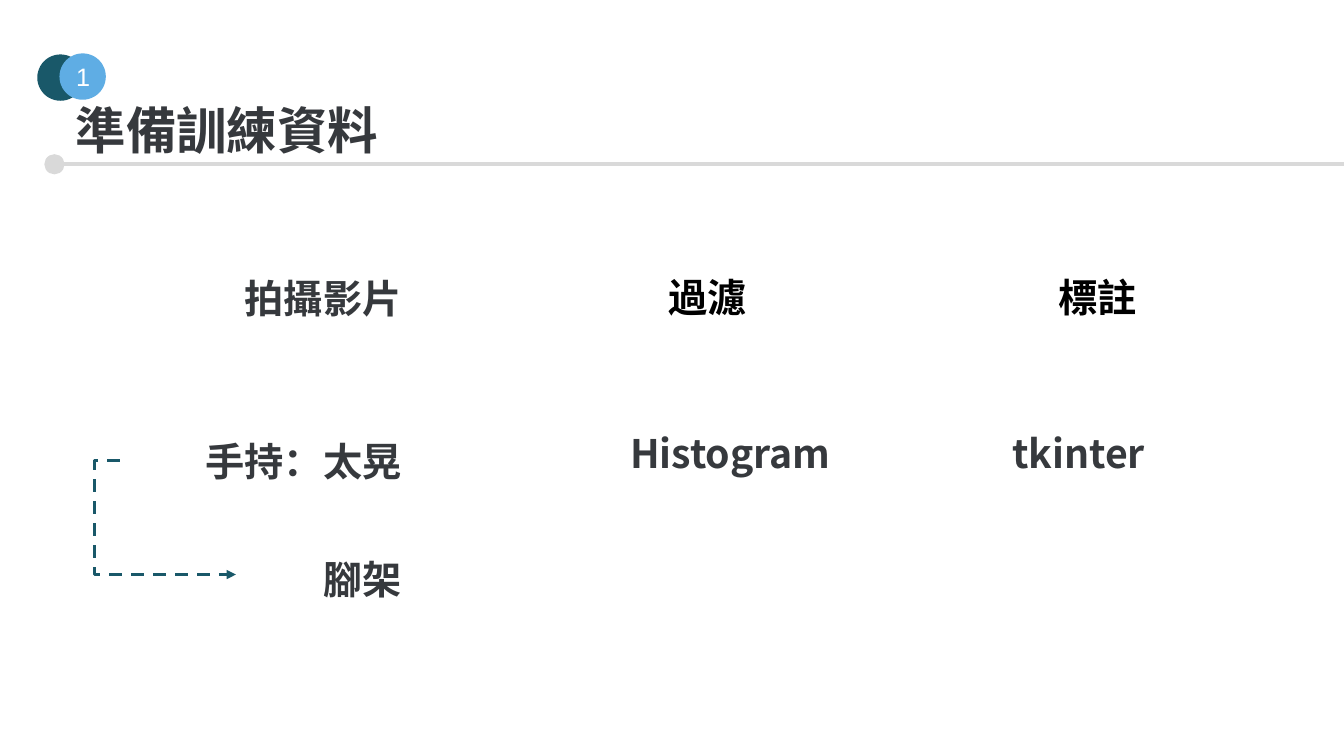
from lxml.etree import SubElement
from pptx import Presentation
from pptx.dml.color import RGBColor
from pptx.enum.dml import MSO_LINE
from pptx.enum.shapes import MSO_CONNECTOR, MSO_SHAPE
from pptx.enum.text import MSO_ANCHOR, MSO_AUTO_SIZE, PP_ALIGN
from pptx.oxml.ns import qn
from pptx.util import Inches, Pt

CJK_FONT = "Noto Sans CJK SC"
DARK, BLACK, TEAL, BLUE, GREY = "36393D", "000000", "195869", "5FADE4", "D9D9D9"


def write(box, text, size, color, name=CJK_FONT, bold=True, align=PP_ALIGN.LEFT):
    """Fill a shape with one formatted paragraph, for Latin and Chinese text alike."""
    para = box.text_frame.paragraphs[0]
    para.text = text
    para.alignment = align
    font = para.font
    font.size, font.bold, font.name = Pt(size), bold, name
    font.color.rgb = RGBColor.from_string(color)
    defaults = para._p.pPr.find(qn("a:defRPr"))
    SubElement(defaults, qn("a:ea")).set("typeface", name)


def draw_line(kind, start, end, color, width):
    line = page.shapes.add_connector(kind, *map(Inches, start + end))
    line.line.color.rgb = RGBColor.from_string(color)
    line.line.width = Pt(width)
    SubElement(line._element.spPr, qn("a:effectLst"))
    return line


deck = Presentation()
deck.slide_width, deck.slide_height = Inches(13.33), Inches(7.5)
page = deck.slides.add_slide(deck.slide_layouts[5])

# Heading with its rule and number badge
title = page.shapes.title
title.left, title.top = Inches(0.65), Inches(0.93)
title.width, title.height = Inches(3.23), Inches(0.71)
title.text_frame.word_wrap = False
title.text_frame.auto_size = MSO_AUTO_SIZE.SHAPE_TO_FIT_TEXT
title.text_frame.vertical_anchor = MSO_ANCHOR.TOP
write(title, "準備訓練資料", 36, DARK)

for left, top, size, color in [
    (0.44, 1.53, 0.2, GREY),
    (0.37, 0.54, 0.46, TEAL),
    (0.59, 0.53, 0.46, BLUE),
]:
    circle = page.shapes.add_shape(
        MSO_SHAPE.OVAL, Inches(left), Inches(top), Inches(size), Inches(size))
    circle.shadow.inherit = False
    circle.fill.solid()
    circle.fill.fore_color.rgb = RGBColor.from_string(color)
    circle.line.fill.background()

badge = circle
badge.text_frame.vertical_anchor = MSO_ANCHOR.MIDDLE
write(badge, "1", 18, "FFFFFF", "Arial", False, PP_ALIGN.CENTER)

draw_line(MSO_CONNECTOR.STRAIGHT, (0.59, 1.63), (13.33, 1.63), GREY, 3)

# Steps and the method used in each
for text, left, top, width, color in [
    ("拍攝影片", 2.33, 2.67, 1.9, DARK),
    ("手持：太晃", 1.94, 4.29, 2.29, DARK),
    ("腳架", 3.11, 5.46, 2.29, DARK),
    ("過濾", 6.53, 2.66, 1.9, BLACK),
    ("Histogram", 6.15, 4.21, 2.29, DARK),
    ("標註", 10.4, 2.66, 1.9, BLACK),
    ("tkinter", 9.94, 4.21, 2.29, DARK),
]:
    box = page.shapes.add_textbox(
        Inches(left), Inches(top), Inches(width), Inches(0.57))
    box.text_frame.word_wrap = True
    box.text_frame.auto_size = MSO_AUTO_SIZE.SHAPE_TO_FIT_TEXT
    write(box, text, 28, color)

# Dashed arrow from handheld to tripod, bending out to the left
arrow = draw_line(MSO_CONNECTOR.ELBOW, (1.19, 4.57), (2.34, 5.7), TEAL, 2.25)
arrow.line.dash_style = MSO_LINE.DASH
SubElement(arrow.line._get_or_add_ln(), qn("a:tailEnd")).set("type", "triangle")
bend = SubElement(arrow._element.spPr.prstGeom.get_or_add_avLst(), qn("a:gd"))
bend.set("name", "adj1")
bend.set("fmla", "val -21800")

deck.save("out.pptx")
